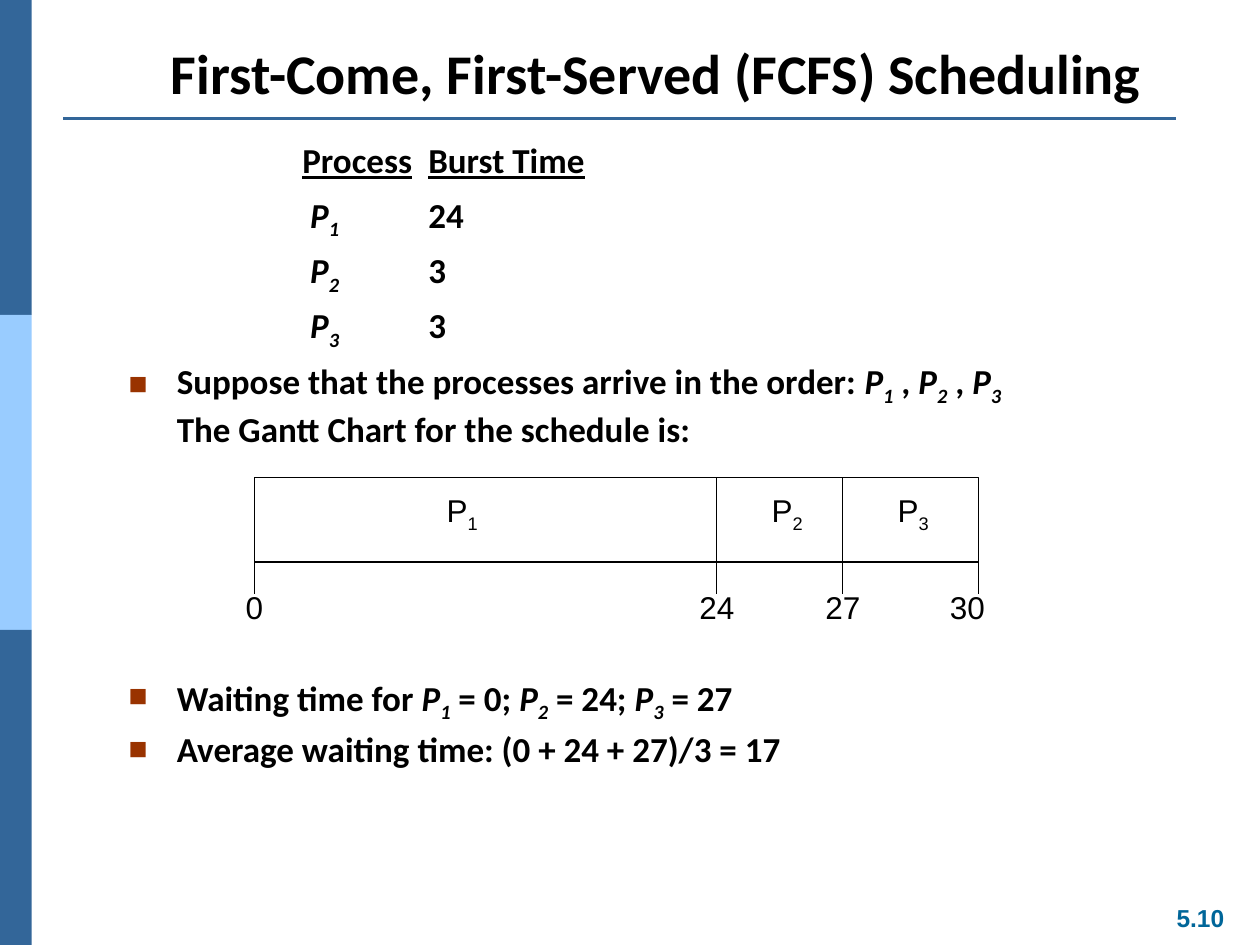
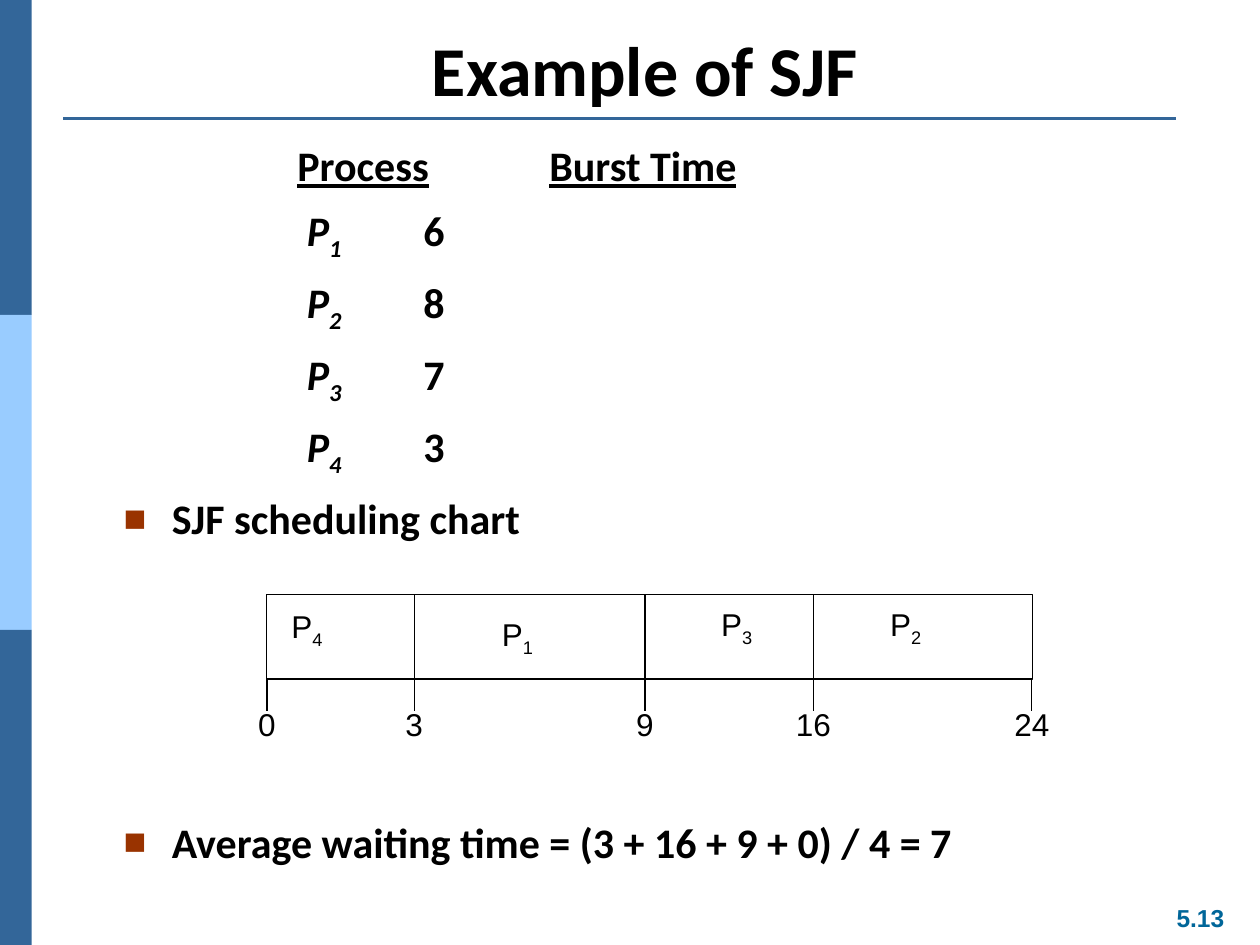
from dataclasses import dataclass

from lxml.etree import SubElement
from pptx import Presentation
from pptx.dml.color import RGBColor
from pptx.enum.shapes import MSO_CONNECTOR as Connector, MSO_SHAPE as Preset
from pptx.enum.text import MSO_ANCHOR as Anchor, MSO_AUTO_SIZE as AutoSize, PP_ALIGN as Align
from pptx.oxml.ns import qn
from pptx.util import Cm, Pt


@dataclass(frozen=True)
class Theme:
    text: str = "000000"
    paper: str = "FFFFFF"
    band: str = "336699"
    band_light: str = "99CCFF"
    number: str = "006699"
    bullet: str = "993300"
    heading_font: str = "Calibri"
    chart_font: str = "Arial"
    chart_size: int = 18
    number_size: int = 14
    thin: float = 0.75
    rule: float = 1.5


@dataclass(frozen=True)
class Box:
    left: float
    top: float
    width: float
    height: float

    def lengths(self):
        return Cm(self.left), Cm(self.top), Cm(self.width), Cm(self.height)


@dataclass(frozen=True)
class Mark:
    """A point in time on the chart; offset is measured from its left edge."""
    time: int
    offset: float
    label_shift: float = 0


@dataclass(frozen=True)
class Task:
    """A process label; center and drop are measured from the chart's corner."""
    name: str
    center: float
    drop: float


THEME = Theme()
SLIDE = Box(0, 0, 25.4, 19.05)
HANG = 0.97
TABLE_INDENT = 3.5
TAB_STEP = 2.54


# Text helpers
def style_run(run, font, size, color, bold=False):
    run.font.name = font
    run.font.size = Pt(size)
    run.font.bold = bold
    run.font.color.rgb = RGBColor.from_string(color)


def add_process_text(paragraph, text, italic=False):
    """Pieces between bars are process names, with the digit as a subscript."""
    for index, piece in enumerate(text.split("|")):
        if index % 2:
            letter, digit = paragraph.add_run(), paragraph.add_run()
            letter.text, digit.text = piece[0], piece[1:]
            letter.font.italic = digit.font.italic = italic
            digit._r.get_or_add_rPr().set("baseline", "-25000")
            continue
        for line_index, line in enumerate(piece.split("\n")):
            if line_index:
                paragraph.add_line_break()
            if line:
                paragraph.add_run().text = line


def add_label(slide, box, text, font, size, color, bold=False):
    text_box = slide.shapes.add_textbox(*box.lengths())
    frame = text_box.text_frame
    frame.word_wrap = False
    frame.vertical_anchor = Anchor.MIDDLE
    paragraph = frame.paragraphs[0]
    paragraph.alignment = Align.CENTER
    add_process_text(paragraph, text)
    for run in paragraph.runs:
        style_run(run, font, size, color, bold)


# Shape helpers
def add_rectangle(slide, box, fill, line=None):
    shape = slide.shapes.add_shape(Preset.RECTANGLE, *box.lengths())
    shape.shadow.inherit = False
    shape.fill.solid()
    shape.fill.fore_color.rgb = RGBColor.from_string(fill)
    if line:
        shape.line.color.rgb = RGBColor.from_string(line)
        shape.line.width = Pt(THEME.thin)
    else:
        shape.line.fill.background()


def add_line(slide, start, end, color, width):
    connector = slide.shapes.add_connector(
        Connector.STRAIGHT, *(Cm(value) for value in (*start, *end)))
    connector.line.color.rgb = RGBColor.from_string(color)
    connector.line.width = Pt(width)
    SubElement(connector._element.spPr, qn("a:effectLst"))


# Shared side bands, title rule and slide number
def add_frame(slide, box, number):
    band_height = box.height / 3
    for index, color in enumerate((THEME.band, THEME.band_light, THEME.band)):
        add_rectangle(slide, Box(box.left, box.top + index * band_height, 0.64, band_height), color)
    rule_top = box.top + 2.39
    add_line(slide, (box.left + 1.27, rule_top), (box.left + 23.7, rule_top),
             THEME.band, THEME.rule)
    add_label(slide, Box(box.left + 23.44, box.top + 18.08, 1.52, 0.86), number,
              THEME.chart_font, THEME.number_size, THEME.number, bold=True)


def fill_title(slide, box, text, size):
    title = slide.shapes.title
    title.left, title.top, title.width, title.height = box.lengths()
    frame = title.text_frame
    frame.text = text
    frame.auto_size = AutoSize.NONE
    frame.vertical_anchor = Anchor.BOTTOM
    paragraph = frame.paragraphs[0]
    paragraph.alignment = Align.CENTER
    style_run(paragraph.runs[0], THEME.heading_font, size, THEME.text, bold=True)


# Body: process list followed by bullets
def set_indent(paragraph, margin, hanging=0):
    properties = paragraph._p.get_or_add_pPr()
    properties.set("marL", str(Cm(margin)))
    properties.set("indent", str(-Cm(hanging)))
    properties.set("defTabSz", str(Cm(TAB_STEP)))
    return properties


def set_bullet(paragraph):
    properties = set_indent(paragraph, HANG, HANG)
    color = SubElement(properties, qn("a:buClr"))
    SubElement(color, qn("a:srgbClr"), val=THEME.bullet)
    SubElement(properties, qn("a:buSzPct"), val="90000")
    SubElement(properties, qn("a:buFont"), typeface=THEME.chart_font)
    SubElement(properties, qn("a:buChar"), char="■")


def fill_body(slide, box, burst_times, bullets, size, spacing, chart_gap):
    body = slide.placeholders[1]
    body.left, body.top, body.width, body.height = box.lengths()
    frame = body.text_frame
    frame.auto_size = AutoSize.NONE
    frame.vertical_anchor = Anchor.TOP

    def add_paragraph(text, gap, line_spacing=spacing):
        paragraph = frame.add_paragraph() if frame.text else frame.paragraphs[0]
        paragraph.space_before = Pt(gap)
        paragraph.line_spacing = line_spacing
        add_process_text(paragraph, text, italic=True)
        for run in paragraph.runs:
            style_run(run, THEME.heading_font, size, THEME.text, bold=True)
        return paragraph

    gap = 0.35 * size
    rows = ["Process\tBurst Time"]
    rows += [f" |P{index}|\t{time}" for index, time in enumerate(burst_times, 1)]
    for index, row in enumerate(rows):
        paragraph = add_paragraph(row, gap if index else 0)
        SubElement(set_indent(paragraph, TABLE_INDENT), qn("a:buNone"))
        if index == 0:
            # Underline the two headings but not the tab between them
            first, second = row.split("\t")
            run = paragraph.runs[0]
            run.text = first
            for text, underline in (("\t", False), (second, True)):
                extra = paragraph.add_run()
                extra.text = text
                style_run(extra, THEME.heading_font, size, THEME.text, bold=True)
                extra.font.underline = underline
            run.font.underline = True

    for index, text in enumerate(bullets):
        # The chart stands between the first and second bullets
        before = chart_gap if index == 1 else gap
        set_bullet(add_paragraph(text, before, spacing if index else 1.0))


# Gantt chart
def add_gantt_chart(slide, box, tasks, marks):
    add_rectangle(slide, box, THEME.paper, THEME.text)
    bottom = box.top + box.height
    label_width, label_height, tick = 1.22, 1.02, 0.64

    def add_chart_label(text, center, top):
        add_label(slide, Box(center - label_width / 2, top, label_width, label_height),
                  text, THEME.chart_font, THEME.chart_size, THEME.text)

    for task in tasks:
        add_chart_label(f"|{task.name}|", box.left + task.center, box.top + task.drop)
    for mark in marks:
        x = box.left + mark.offset
        if mark not in (marks[0], marks[-1]):
            add_line(slide, (x, box.top), (x, bottom), THEME.text, THEME.thin)
        add_line(slide, (x, bottom), (x, bottom + tick), THEME.text, THEME.thin)
        add_chart_label(str(mark.time), x + mark.label_shift, bottom + 0.4)


# Slides
def add_scheduling_slide(presentation, number, title, body, chart):
    slide = presentation.slides.add_slide(presentation.slide_layouts[1])
    add_frame(slide, SLIDE, number)
    fill_title(slide, **title)
    fill_body(slide, **body)
    add_gantt_chart(slide, **chart)


def main():
    presentation = Presentation()
    presentation.slide_width, presentation.slide_height = Cm(SLIDE.width), Cm(SLIDE.height)

    add_scheduling_slide(
        presentation, "5.10",
        title=dict(box=Box(1.65, 0.99, 23.16, 1.27), size=32,
                   text="First-Come, First-Served (FCFS) Scheduling"),
        body=dict(
            box=Box(2.34, 2.77, 21, 13.2), size=20, spacing=0.9, chart_gap=130,
            burst_times=(24, 3, 3),
            bullets=("Suppose that the processes arrive in the order: |P1| , |P2| , |P3|\n"
                     "The Gantt Chart for the schedule is:",
                     "Waiting time for |P1| = 0; |P2| = 24; |P3| = 27",
                     "Average waiting time: (0 + 24 + 27)/3 = 17")),
        chart=dict(
            box=Box(5.13, 9.63, 14.6, 1.7),
            tasks=(Task("P1", 4.19, 0.2), Task("P2", 10.74, 0.2), Task("P3", 13.28, 0.2)),
            marks=(Mark(0, 0), Mark(24, 9.32), Mark(27, 11.86), Mark(30, 14.6, -0.23))))

    add_scheduling_slide(
        presentation, "5.13",
        title=dict(box=Box(1.57, 0.76, 22.86, 1.6), size=40, text="Example of SJF"),
        body=dict(
            box=Box(2.24, 2.69, 22.86, 13.2), size=24, spacing=1.0, chart_gap=156,
            burst_times=(6, 8, 7, 3),
            bullets=("SJF scheduling chart",
                     "Average waiting time = (3 + 16 + 9 + 0) / 4 = 7")),
        chart=dict(
            box=Box(5.38, 11.99, 15.44, 1.7),
            tasks=(Task("P4", 0.81, 0.18), Task("P1", 5.05, 0.33),
                   Task("P3", 9.47, 0.13), Task("P2", 12.88, 0.13)),
            marks=(Mark(0, 0), Mark(3, 2.97), Mark(9, 7.62), Mark(16, 11.02), Mark(24, 15.42))))

    presentation.save("out.pptx")


if __name__ == "__main__":
    main()
